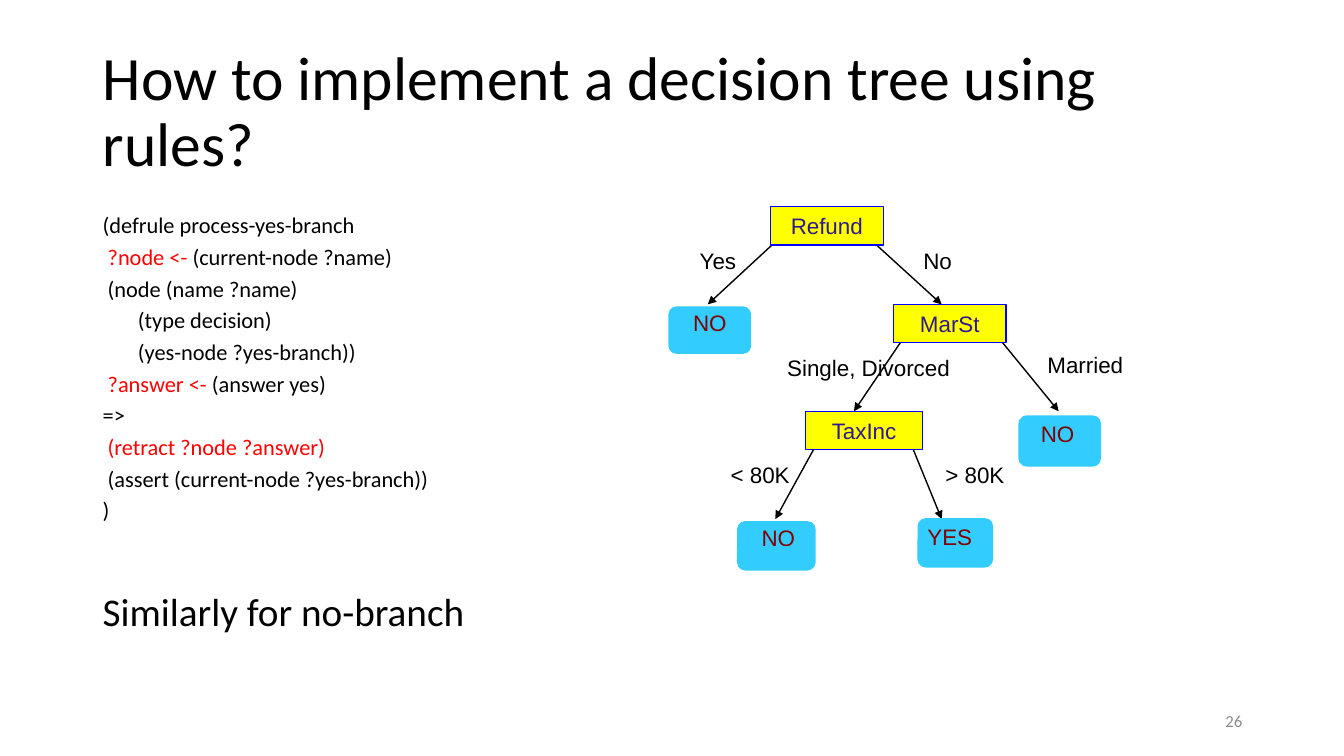
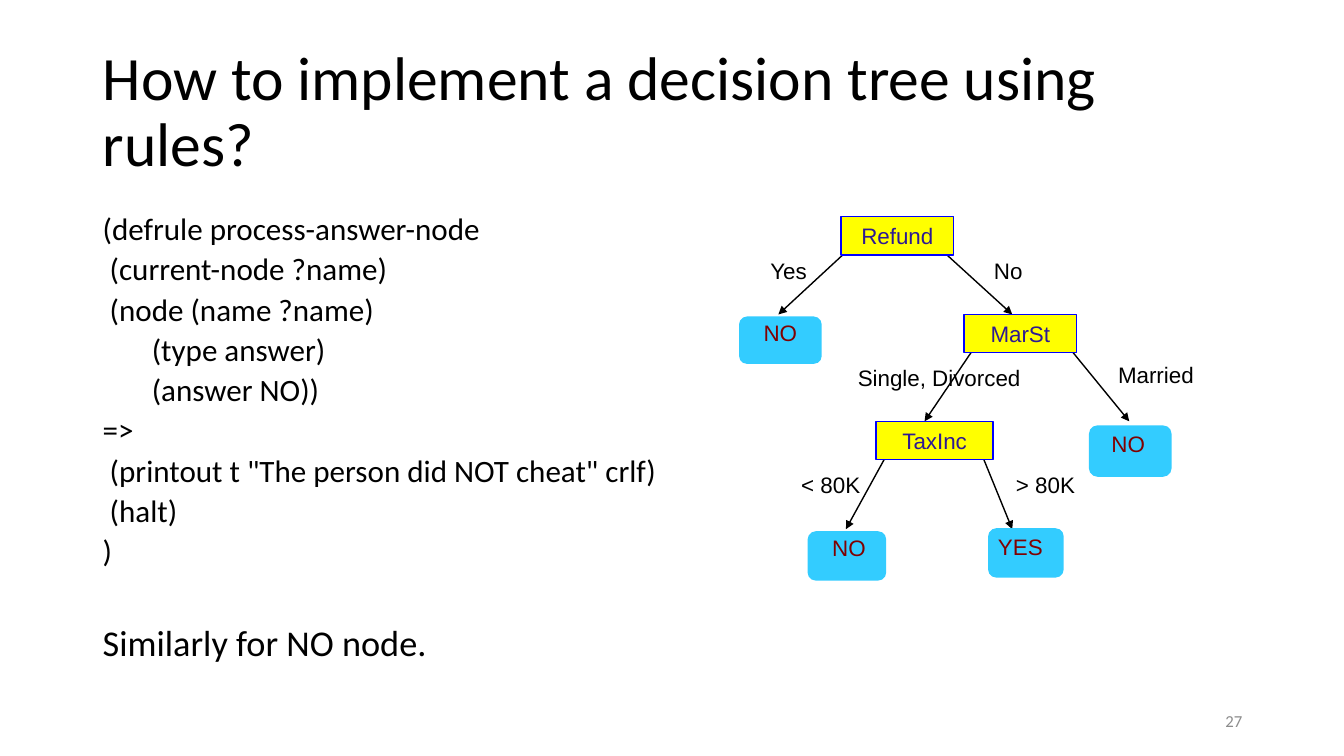
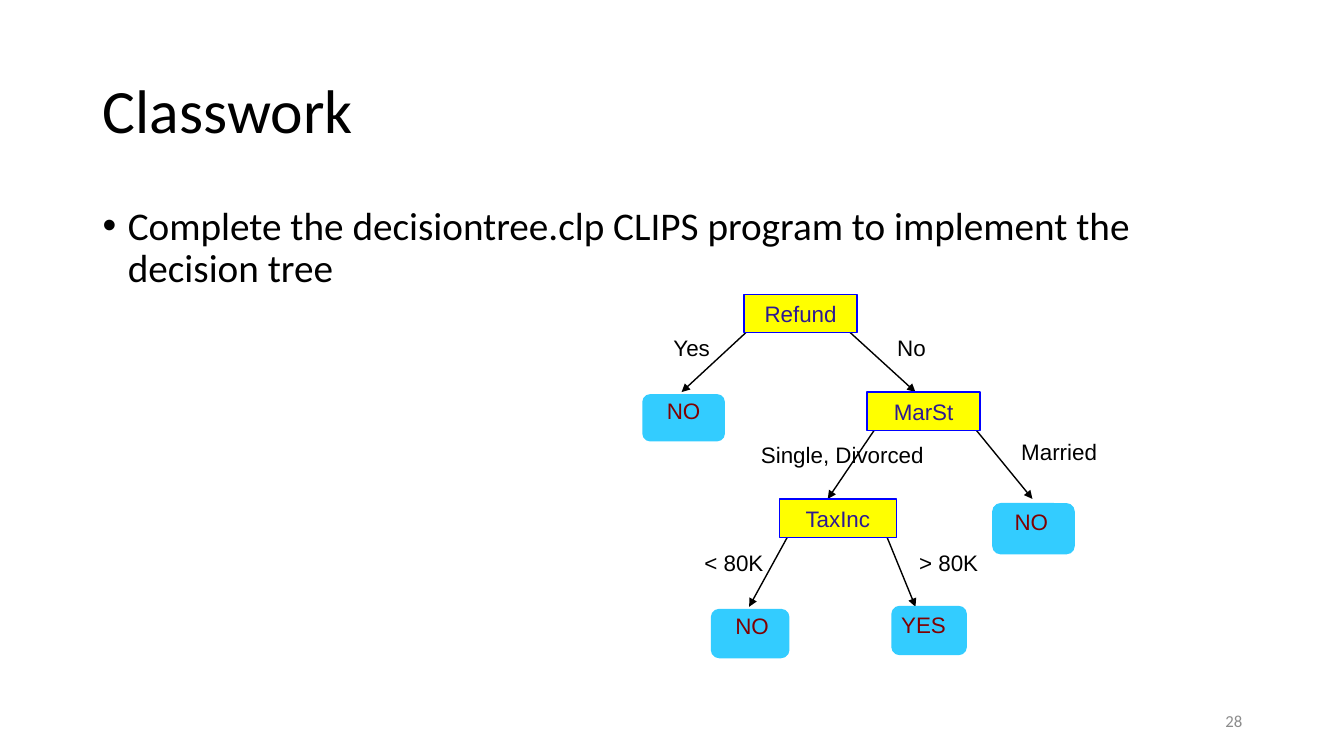
from lxml import etree
from pptx import Presentation
from pptx.dml.color import RGBColor
from pptx.enum.shapes import MSO_CONNECTOR, MSO_SHAPE
from pptx.enum.text import MSO_ANCHOR as Anchor, PP_ALIGN as Align
from pptx.oxml.ns import qn
from pptx.util import Inches, Pt

# Shared style
BLACK, RED, GREY = "000000", "FF0000", "8C8C8C"
YELLOW, BLUE, INDIGO = "FFFF00", "0000FF", "2D1993"
CYAN, MAROON = "33CCFF", "800000"
BODY_FONT, TREE_FONT = "Calibri", "Arial"
TITLE_BOX = (0.92, 0.4, 11.5, 1.45)
BODY_BOX = (0.92, 2, 11.5, 4.76)
NUMBER_BOX = (9.42, 6.95, 3, 0.4)
RULE_TITLE = "How to implement a decision tree using rules?"

# Decision tree, in inches from its top left corner
TEST_HEIGHT, TEXT_HEIGHT = 0.38, 0.37
BRANCHES = [  # start x, y, end x, y
    (2.42, 2.39, 2.71, 3.1), (1.45, 2.39, 1.06, 3.1),
    (2.32, 1.32, 1.84, 2.03), (3.29, 1.32, 3.87, 2.03),
    (2.03, 0.35, 2.71, 0.97), (1.06, 0.35, 0.39, 0.97),
]
TESTS = [  # name, left, top, width
    ("Refund", 1.01, 0, 1.12), ("MarSt", 2.23, 0.97, 1.12), ("TaxInc", 1.36, 2.03, 1.16),
]
ANSWERS = [  # name, box, text left, top, width
    ("YES", (2.47, 3.09, 0.75, 0.49), (2.38, 3.09, 0.82)),
    ("NO", (0.68, 3.12, 0.78, 0.49), (0.82, 3.1, 0.54)),
    ("NO", (0, 0.99, 0.82, 0.47), (0.14, 0.97, 0.54)),
    ("NO", (3.47, 2.07, 0.82, 0.51), (3.59, 2.07, 0.54)),
]
BRANCH_LABELS = [  # text, left, top, width
    ("Yes", 0.19, 0.35, 0.58), ("No", 2.42, 0.35, 0.49),
    ("Married ", 3.65, 1.38, 1.02), ("Single, Divorced", 1.07, 1.41, 1.82),
    ("< 80K", 0.51, 2.48, 0.79), ("> 80K", 2.64, 2.48, 0.79),
]

# Rules shown as code: each line is a list of (text, colour) runs
YES_RULE = [
    [("(defrule process-yes-branch", BLACK)],
    [(" ?node <- ", RED), ("(current-node ?name)", BLACK)],
    [(" (node (name ?name)", BLACK)],
    [("       (type decision)", BLACK)],
    [("       (yes-node ?yes-branch))", BLACK)],
    [(" ", BLACK), ("?answer <- ", RED), ("(answer yes)", BLACK)],
    [("=>", BLACK)],
    [(" (retract ?node ?answer)", RED)],
    [(" (assert (current-node ?yes-branch))", BLACK)],
    [(")", BLACK)],
]
ANSWER_RULE = [[(line, BLACK)] for line in (
    "(defrule process-answer-node",
    " (current-node ?name)",
    " (node (name ?name)",
    "       (type answer)",
    "       (answer NO))",
    "=>",
    ' (printout t "The person did NOT cheat" crlf)',
    " (halt)",
    ")",
)]


def color(hex_value):
    return RGBColor.from_string(hex_value)


def add_run(paragraph, text, size, font, hex_value):
    run = paragraph.add_run()
    run.text = text
    run.font.size = Pt(size)
    run.font.name = font
    run.font.color.rgb = color(hex_value)


def add_textbox(shapes, box, anchor=Anchor.TOP, wrap=True):
    frame = shapes.add_textbox(*map(Inches, box)).text_frame
    frame.word_wrap = wrap
    frame.vertical_anchor = anchor
    return frame


def add_line_of_text(frame, text, size, font, hex_value, align=Align.LEFT):
    paragraph = frame.paragraphs[0]
    paragraph.alignment = align
    add_run(paragraph, text, size, font, hex_value)
    return paragraph


def add_box(shapes, kind, box, fill, line=None):
    shape = shapes.add_shape(kind, *map(Inches, box))
    shape.shadow.inherit = False
    shape.fill.solid()
    shape.fill.fore_color.rgb = color(fill)
    if line:
        shape.line.color.rgb = color(line)
        shape.line.width = Pt(1)
    else:
        shape.line.fill.background()
    return shape


def add_arrow(shapes, *ends):
    arrow = shapes.add_connector(MSO_CONNECTOR.STRAIGHT, *map(Inches, ends))
    arrow.line.color.rgb = color(BLACK)
    arrow.line.width = Pt(1)
    etree.SubElement(arrow.line._get_or_add_ln(), qn("a:tailEnd"), type="triangle")
    etree.SubElement(arrow._element.spPr, qn("a:effectLst"))


def add_tree(slide, left, top):
    shapes = slide.shapes.add_group_shape().shapes

    # Branches
    for x1, y1, x2, y2 in BRANCHES:
        add_arrow(shapes, left + x1, top + y1, left + x2, top + y2)

    # Tests
    for name, x, y, width in TESTS:
        test = add_box(shapes, MSO_SHAPE.RECTANGLE,
                       (left + x, top + y, width, TEST_HEIGHT), YELLOW, BLUE)
        test.text_frame.vertical_anchor = Anchor.MIDDLE
        add_line_of_text(test.text_frame, name, 16, TREE_FONT, INDIGO, Align.CENTER)

    # Answers
    for name, (x, y, width, height), (text_x, text_y, text_width) in ANSWERS:
        add_box(shapes, MSO_SHAPE.ROUNDED_RECTANGLE, (left + x, top + y, width, height), CYAN)
        frame = add_textbox(shapes, (left + text_x, top + text_y, text_width, TEXT_HEIGHT),
                            wrap=False)
        add_line_of_text(frame, name, 16, TREE_FONT, MAROON, Align.CENTER)

    # Branch labels
    for text, x, y, width in BRANCH_LABELS:
        frame = add_textbox(shapes, (left + x, top + y, width, TEXT_HEIGHT), wrap=False)
        add_line_of_text(frame, text, 16, TREE_FONT, BLACK, Align.RIGHT)


def add_base_slide(deck, title, number):
    slide = deck.slides.add_slide(deck.slide_layouts[6])
    heading = add_line_of_text(add_textbox(slide.shapes, TITLE_BOX, Anchor.MIDDLE),
                               title, 44, BODY_FONT, BLACK)
    heading.line_spacing = 0.9
    add_line_of_text(add_textbox(slide.shapes, NUMBER_BOX, Anchor.MIDDLE),
                     str(number), 12, BODY_FONT, GREY, Align.RIGHT)
    return slide


def add_rule_slide(deck, number, rule, size, spacing, remark, remark_size, gap, tree_at):
    slide = add_base_slide(deck, RULE_TITLE, number)
    frame = add_textbox(slide.shapes, BODY_BOX)

    # Code lines
    for index, runs in enumerate(rule):
        paragraph = frame.add_paragraph() if index else frame.paragraphs[0]
        paragraph.line_spacing = spacing
        for text, hex_value in runs:
            add_run(paragraph, text, size, BODY_FONT, hex_value)

    # Remark below the code
    closing = frame.add_paragraph()
    closing.line_spacing = spacing
    closing.space_before = Pt(gap)
    add_run(closing, remark, remark_size, BODY_FONT, BLACK)

    add_tree(slide, *tree_at)


def add_classwork_slide(deck, number, task, tree_at):
    slide = add_base_slide(deck, "Classwork", number)
    paragraph = add_textbox(slide.shapes, BODY_BOX).paragraphs[0]
    paragraph.line_spacing = 0.9
    properties = paragraph._p.get_or_add_pPr()
    properties.set("marL", str(Inches(0.25)))
    properties.set("indent", str(-Inches(0.25)))
    etree.SubElement(properties, qn("a:buFont"), typeface=TREE_FONT)
    etree.SubElement(properties, qn("a:buChar"), char="•")
    add_run(paragraph, task, 28, BODY_FONT, BLACK)
    add_tree(slide, *tree_at)


def main():
    deck = Presentation()
    deck.slide_width, deck.slide_height = Inches(13.33), Inches(7.5)
    add_rule_slide(deck, 26, YES_RULE, 16, 1.18,
                   "Similarly for no-branch", 28, 40, (6.63, 2.05))
    add_rule_slide(deck, 27, ANSWER_RULE, 22.2, 1.08,
                   "Similarly for NO node.", 25.9, 34, (7.33, 2.15))
    add_classwork_slide(
        deck, 28,
        "Complete the decisiontree.clp CLIPS program to implement the decision tree",
        (6.37, 2.92))
    deck.save("out.pptx")


if __name__ == "__main__":
    main()
